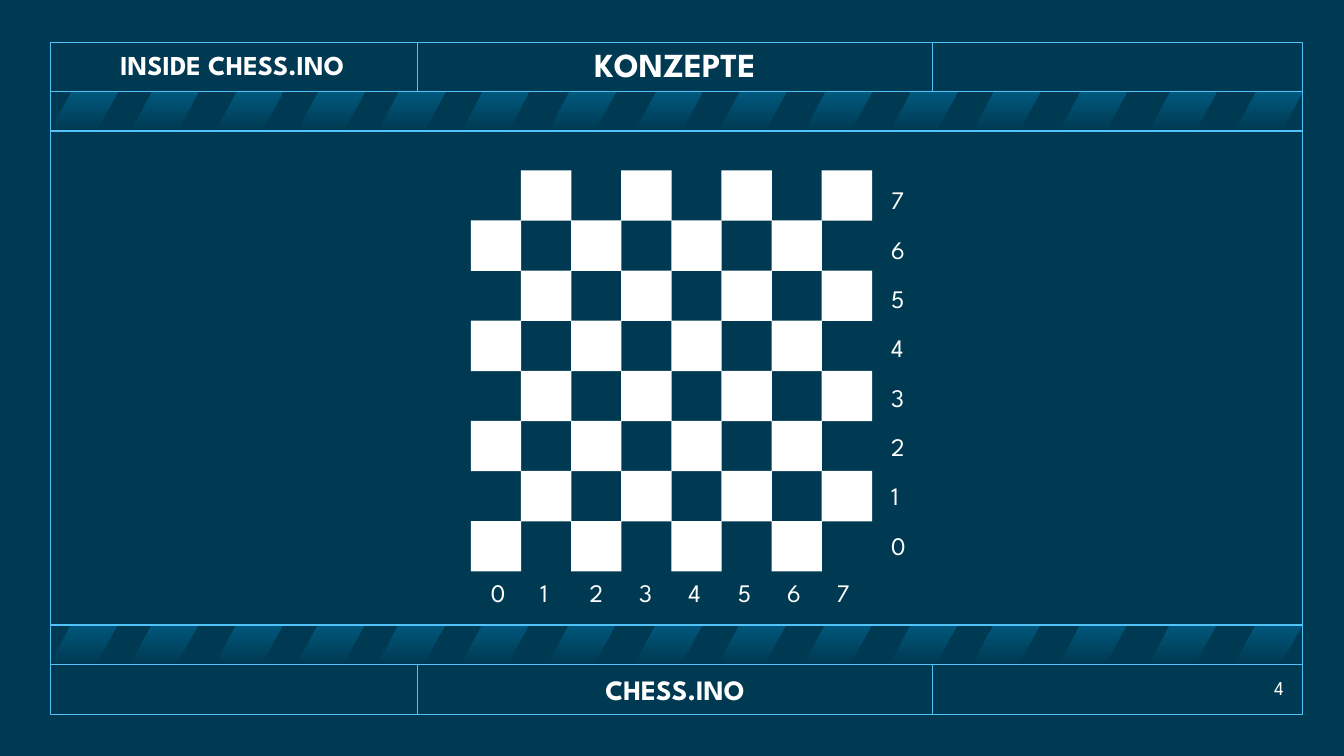
from lxml import etree
from pptx import Presentation
from pptx.dml.color import RGBColor
from pptx.enum import shapes, text
from pptx.oxml import ns
from pptx.util import Inches, Pt

NAVY = RGBColor(0x00, 0x3A, 0x52)
TEAL = RGBColor(0x00, 0x58, 0x7D)
SKY = RGBColor(0x51, 0xC3, 0xF9)
WHITE = RGBColor(0xFF, 0xFF, 0xFF)
FONT = "League Spartan"
CENTER = text.PP_ALIGN.CENTER

FRAME_LEFT, FRAME_RIGHT = 0.5, 12.91
STRIPE_LEFTS = [0.5, 1.3, 2.14, 2.95, 3.75, 4.58, 5.44, 6.3,
                7.13, 7.98, 8.83, 9.65, 10.51, 11.4, 12.25]
BOARD_LEFT, BOARD_TOP = 4.67, 1.69
SQUARES = 8
SQUARE_SIZE = 0.5
SQUARE_STEP = 3.48 / 7
LABEL_STEP = 0.49

presentation = Presentation()
presentation.slide_width = Inches(13.33)
presentation.slide_height = Inches(7.5)
slide = presentation.slides.add_slide(presentation.slide_layouts[6])
slide.background.fill.solid()
slide.background.fill.fore_color.rgb = NAVY


def add_block(kind, left, top, width, height):
    shape = slide.shapes.add_shape(
        kind, Inches(left), Inches(top), Inches(width), Inches(height))
    shape.shadow.inherit = False
    shape.line.fill.background()
    return shape


def add_label(wording, left, top, width, height, size, bold=False, align=None):
    box = slide.shapes.add_textbox(
        Inches(left), Inches(top), Inches(width), Inches(height))
    frame = box.text_frame
    frame.word_wrap = True
    frame.vertical_anchor = text.MSO_ANCHOR.MIDDLE
    frame.text = wording
    paragraph = frame.paragraphs[0]
    paragraph.alignment = align
    if bold:
        paragraph.line_spacing = 0.9
    font = paragraph.runs[0].font
    font.name = FONT
    font.size = Pt(size)
    font.bold = bold
    font.color.rgb = WHITE
    return frame


border = add_block(shapes.MSO_SHAPE.RECTANGLE, FRAME_LEFT, 0.42, 12.42, 6.67)
border.fill.background()
border.line.color.rgb = SKY
border.line.width = Pt(1)

for band_top in (0.91, 6.19):
    for stripe_left in STRIPE_LEFTS:
        stripe = add_block(shapes.MSO_SHAPE.PARALLELOGRAM,
                           stripe_left, band_top, 0.67, 0.39)
        stripe.adjustments[0] = 0.538
        stripe.fill.gradient()
        stripe.fill.gradient_angle = 90
        for stop, color, position in zip(
                stripe.fill.gradient_stops, (NAVY, TEAL), (0, 1)):
            stop.color.rgb = color
            stop.position = position

dividers = [(x, top, x, bottom)
            for x in (4.14, 9.25) for top, bottom in ((0.42, 0.91), (6.59, 7.08))]
dividers += [(FRAME_LEFT, y, FRAME_RIGHT, y) for y in (0.91, 1.3, 6.2, 6.59)]
for divider in dividers:
    line = slide.shapes.add_connector(
        shapes.MSO_CONNECTOR.STRAIGHT, *[Inches(value) for value in divider])
    line.line.color.rgb = SKY
    line.line.width = Pt(1)
    etree.SubElement(line._element.spPr, ns.qn("a:effectLst"))

for number in range(SQUARES):
    offset = LABEL_STEP * number
    for left, top in ((4.77 + offset, 5.68), (8.74, 5.21 - offset)):
        frame = add_label(str(number), left, top, 0.34, 0.4, 18)
        frame.word_wrap = False
        frame.auto_size = text.MSO_AUTO_SIZE.SHAPE_TO_FIT_TEXT

add_label("KONZEPTE", 4.15, 0.43, 5.09, 0.47, 24, True, CENTER)
add_label("CHESS.INO", 4.15, 6.62, 5.09, 0.47, 20, True, CENTER)
add_label("INSIDE CHESS.INO", 0.48, 0.41, 3.65, 0.5, 19.5, True, CENTER)
add_label("4", 11.91, 6.67, 0.92, 0.3, 14, align=text.PP_ALIGN.RIGHT)

for row in range(SQUARES):
    for column in range((row + 1) % 2, SQUARES, 2):
        square = add_block(shapes.MSO_SHAPE.RECTANGLE,
                           BOARD_LEFT + SQUARE_STEP * column,
                           BOARD_TOP + SQUARE_STEP * row,
                           SQUARE_SIZE, SQUARE_SIZE)
        square.fill.solid()
        square.fill.fore_color.rgb = WHITE

presentation.save("out.pptx")
